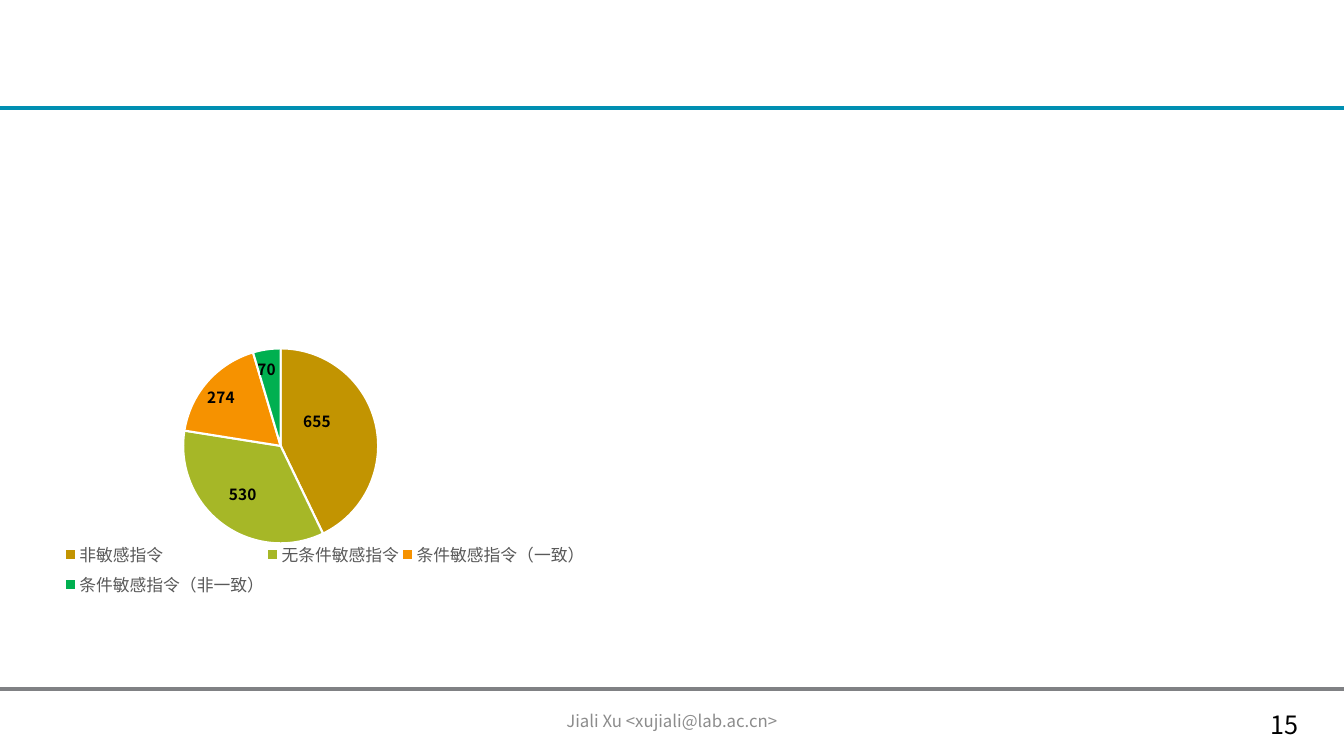
from lxml import etree
from pptx import Presentation, util as u
from pptx.chart.data import CategoryChartData
from pptx.dml.color import RGBColor
from pptx.enum import chart as ch, shapes, text
from pptx.oxml.ns import qn

PX = 9071  # EMU in one px
FONT = "Noto Sans CJK SC"
WIDTH, HEIGHT = 1344, 756
CHART_WIDTH, CHART_HEIGHT = 591, 307


def style(font, size, color, bold=False):
    font.name, font.size, font.bold = FONT, u.Pt(size), bold
    font.color.rgb = RGBColor.from_string(color)


def add_text(words, left, top, width, height, size, color,
             align=text.PP_ALIGN.LEFT, anchor=text.MSO_ANCHOR.TOP):
    box = page.shapes.add_textbox(left * PX, top * PX, width * PX, height * PX)
    box.text_frame.word_wrap = True
    box.text_frame.vertical_anchor = anchor
    para = box.text_frame.paragraphs[0]
    para.alignment = align
    span = para.add_run()
    span.text = words
    style(span.font, size, color)


deck = Presentation()
deck.slide_width, deck.slide_height = WIDTH * PX, HEIGHT * PX
page = deck.slides.add_slide(deck.slide_layouts[6])

# Header and footer rules
for y, color in ((689, "808184"), (108, "008FB2")):
    rule = page.shapes.add_connector(shapes.MSO_CONNECTOR.STRAIGHT,
                                     0, y * PX, WIDTH * PX, y * PX)
    rule.line.width = u.Pt(2.25)
    rule.line.color.rgb = RGBColor.from_string(color)
    etree.SubElement(rule._element.spPr, qn("a:effectLst"))

# Footer
add_text("15", 1261, 704, 55, 40, 18, "000000")
add_text("Jiali Xu <xujiali@lab.ac.cn>", 445, 701, 454, 40, 12, "8C8C8C",
         text.PP_ALIGN.CENTER, text.MSO_ANCHOR.MIDDLE)

# Instruction counts: name, count, colour, label shift from the slice centre
slices = (("非敏感指令", 655, "C29401", (-11, -14)),
          ("无条件敏感指令", 530, "A6B727", (-9, 9)),
          ("条件敏感指令（一致）", 274, "F69200", (-23, -17)),
          ("条件敏感指令（非一致）", 70, "00B050", (-7, -29)))
data = CategoryChartData()
data.categories = [item[0] for item in slices]
data.add_series("Series 1", [item[1] for item in slices])
chart = page.shapes.add_chart(ch.XL_CHART_TYPE.PIE, -3 * PX, 307 * PX,
                              CHART_WIDTH * PX, CHART_HEIGHT * PX, data).chart
chart.has_title = False
style(chart.font, 10, "000000")
chart.has_legend = True
chart.legend.position = ch.XL_LEGEND_POSITION.BOTTOM
chart.legend.include_in_layout = False
style(chart.legend.font, 12, "595959")

# Slices and their labels
plot = chart.plots[0]
plot.vary_by_categories = True
series = plot.series[0]
series.data_labels.show_value = True
style(series.data_labels.font, 11, "000000", bold=True)
for leader in series.data_labels._element.findall(qn("c:showLeaderLines")):
    leader.set("val", "0")

# Fixed places as shares of the chart: parent, child index, mode, values
plot_area = chart._chartSpace.chart.plotArea
layouts = [(plot_area, 0, "edge", (0.315, 0.135, 0.33, 0.635)),
           (chart.legend._element, 1, "edge", (0.11, 0.75, 0.89, 0.21))]
for index, (name, count, color, (right, down)) in enumerate(slices):
    point = series.points[index]
    point.format.fill.solid()
    point.format.fill.fore_color.rgb = RGBColor.from_string(color)
    point.format.line.color.rgb = RGBColor.from_string("FFFFFF")
    point.format.line.width = u.Pt(1.5)
    style(point.data_label.font, 11, "000000", bold=True)
    point.data_label.position = ch.XL_LABEL_POSITION.CENTER
    label = series.data_labels._element.findall(qn("c:dLbl"))[index]
    layouts.append((label, 1, "factor", (round(right / CHART_WIDTH, 3),
                                         round(down / CHART_HEIGHT, 3))))

for parent, index, mode, places in layouts:
    for old in parent.findall(qn("c:layout")):
        parent.remove(old)
    layout = etree.Element(qn("c:layout"))
    manual = etree.SubElement(layout, qn("c:manualLayout"))
    if parent is plot_area:
        etree.SubElement(manual, qn("c:layoutTarget"), val="inner")
    for tag in ("xMode", "yMode"):
        etree.SubElement(manual, qn("c:" + tag), val=mode)
    for tag, share in zip("xywh", places):
        etree.SubElement(manual, qn("c:" + tag), val=str(share))
    parent.insert(index, layout)

deck.save("out.pptx")
